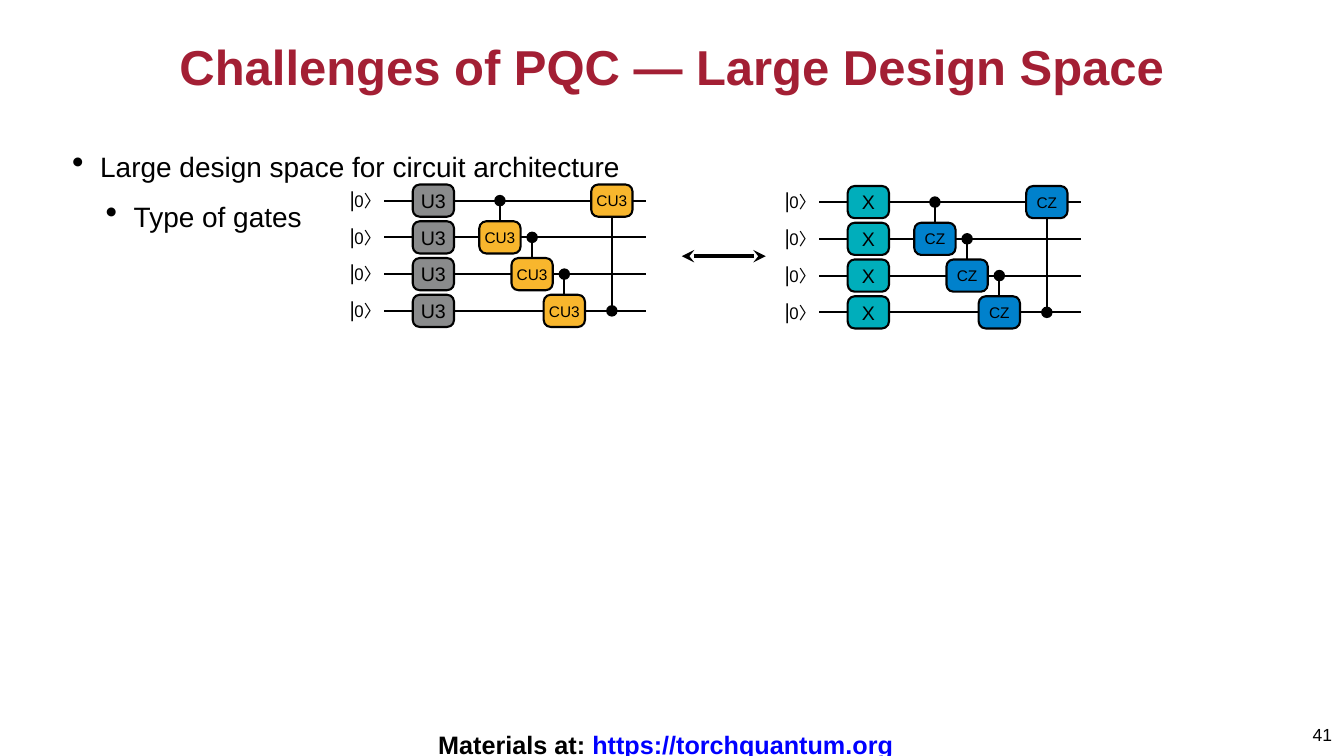
from lxml.etree import SubElement
from pptx import Presentation
from pptx.dml.color import RGBColor as Color
from pptx.enum.shapes import MSO_CONNECTOR as Connector, MSO_SHAPE as Shape
from pptx.enum.text import MSO_ANCHOR as Anchor, PP_ALIGN as Align
from pptx.oxml.ns import qn
from pptx.util import Pt

COLORS = {
    "title": "A31F34", "black": "000000", "link": "0000FF",
    "gray": "8A8B8C", "yellow": "F8B62D", "teal": "00AEBB", "blue": "0081CC",
}


def add_text(para, text, size=28, color="black", bold=False, underline=False,
             align=Align.CENTER, line_spacing=1.0):
    para.alignment = align
    para.line_spacing = line_spacing
    span = para.add_run()
    span.text = text
    span.font.name = "Arial"
    span.font.size = Pt(size)
    span.font.bold = bold
    span.font.underline = underline
    span.font.color.rgb = Color.from_string(COLORS[color])


def add_line(shapes, x1, y1, x2, y2, width=3):
    line = shapes.add_connector(Connector.STRAIGHT, Pt(x1), Pt(y1), Pt(x2), Pt(y2))
    line.line.width = Pt(width)
    line.line.color.rgb = Color.from_string(COLORS["black"])
    SubElement(line._element.spPr, qn("a:effectLst"))
    return line


deck = Presentation()
deck.slide_width, deck.slide_height = Pt(1920), Pt(1080)
page = deck.slides.add_slide(deck.slide_layouts[5])

# Title
title = page.shapes.title
title.left, title.top, title.width, title.height = Pt(96), Pt(1.5), Pt(1728), Pt(198)
frame = title.text_frame
frame.margin_left = frame.margin_right = frame.margin_top = frame.margin_bottom = 0
frame.vertical_anchor = Anchor.MIDDLE
add_text(frame.paragraphs[0], "Challenges of PQC — Large Design Space",
         size=70, color="title", bold=True, line_spacing=0.85)

# Bulleted text
body = page.shapes.add_textbox(Pt(96), Pt(200), Pt(1728), Pt(836)).text_frame
body.word_wrap = True
bullets = ["Large design space for circuit architecture", "Type of gates"]
for level, text in enumerate(bullets):
    para = body.paragraphs[0] if level == 0 else body.add_paragraph()
    para.level = level
    add_text(para, text, size=40, align=Align.LEFT, line_spacing=1.2)
    if level:
        para.space_before = Pt(14)
    properties = para._p.get_or_add_pPr()
    properties.set("marL", str(Pt(40 + 48 * level)))
    properties.set("indent", str(-Pt(40)))
    SubElement(properties, qn("a:buSzPct")).set("val", "122000")
    SubElement(properties, qn("a:buChar")).set("char", "•")

# Two circuits: origin is the left end of the top wire
WIRE, PITCH = 374, 52.5
GATE_WIDTH, GATE_HEIGHT, DOT = 59, 46, 16.5
circuits = [
    (548.6, 286.6, "U3", "gray", "CU3", "yellow"),
    (1170, 288.7, "X", "teal", "CZ", "blue"),
]
for left, top, single, single_color, double, double_color in circuits:
    group = page.shapes.add_group_shape().shapes
    rows = [top + PITCH * row for row in range(4)]

    # Wires and input states
    for y in rows:
        add_line(group, left, y, left + WIRE, y)
        box = group.add_textbox(Pt(left - 64.8), Pt(y - 18), Pt(70.6), Pt(36))
        box.text_frame.word_wrap = False
        box.text_frame.vertical_anchor = Anchor.MIDDLE
        add_text(box.text_frame.paragraphs[0], "⎥0〉", size=24)

    # Gates: centre, target row, control row, label, colour, text size
    gates = [(70.5, row, None, single, single_color, 28) for row in range(4)]
    gates += [(165.6 + 46 * row, row + 1, row, double, double_color, 22) for row in range(3)]
    gates.append((325.5, 0, 3, double, double_color, 22))
    for center, target, control, label, color, size in gates:
        x, y = left + center, rows[target]
        gate = group.add_shape(Shape.ROUNDED_RECTANGLE, Pt(x - GATE_WIDTH / 2),
                               Pt(y - GATE_HEIGHT / 2), Pt(GATE_WIDTH), Pt(GATE_HEIGHT))
        gate.shadow.inherit = False
        gate.adjustments[0] = 0.218
        gate.fill.solid()
        gate.fill.fore_color.rgb = Color.from_string(COLORS[color])
        gate.line.width = Pt(3)
        gate.line.color.rgb = Color.from_string(COLORS["black"])
        frame = gate.text_frame
        frame.margin_left = frame.margin_right = Pt(4)
        frame.margin_top = frame.margin_bottom = Pt(4)
        frame.word_wrap = label != "CU3"
        frame.vertical_anchor = Anchor.MIDDLE
        add_text(frame.paragraphs[0], label, size=size)
        if control is None:
            continue

        # Control dot and its link to the gate
        dot_y = rows[control]
        edge = y + GATE_HEIGHT / 2 * (1 if control > target else -1)
        dot = group.add_shape(Shape.OVAL, Pt(x - DOT / 2), Pt(dot_y - DOT / 2),
                              Pt(DOT), Pt(DOT))
        dot.shadow.inherit = False
        dot.fill.solid()
        dot.fill.fore_color.rgb = Color.from_string(COLORS["black"])
        dot.line.fill.background()
        add_line(group, x, dot_y, x, edge)

# Double arrow between the circuits
arrow = add_line(page.shapes, 974, 366, 1094, 366, width=6)
for end in ("a:headEnd", "a:tailEnd"):
    SubElement(arrow.line._get_or_add_ln(), qn(end)).set("type", "stealth")

# Footer and page number
footer = page.shapes.add_textbox(Pt(614), Pt(1030), Pt(674), Pt(60)).text_frame
footer.word_wrap = False
para = footer.paragraphs[0]
add_text(para, "Materials at: ", size=36, bold=True, line_spacing=1.2)
add_text(para, "https://torchquantum.org", size=36, color="link", bold=True,
         underline=True, line_spacing=1.2)
number = page.shapes.add_textbox(Pt(1868), Pt(1031), Pt(59), Pt(40)).text_frame
number.word_wrap = True
add_text(number.paragraphs[0], "41", size=25, align=Align.JUSTIFY)

deck.save("out.pptx")
